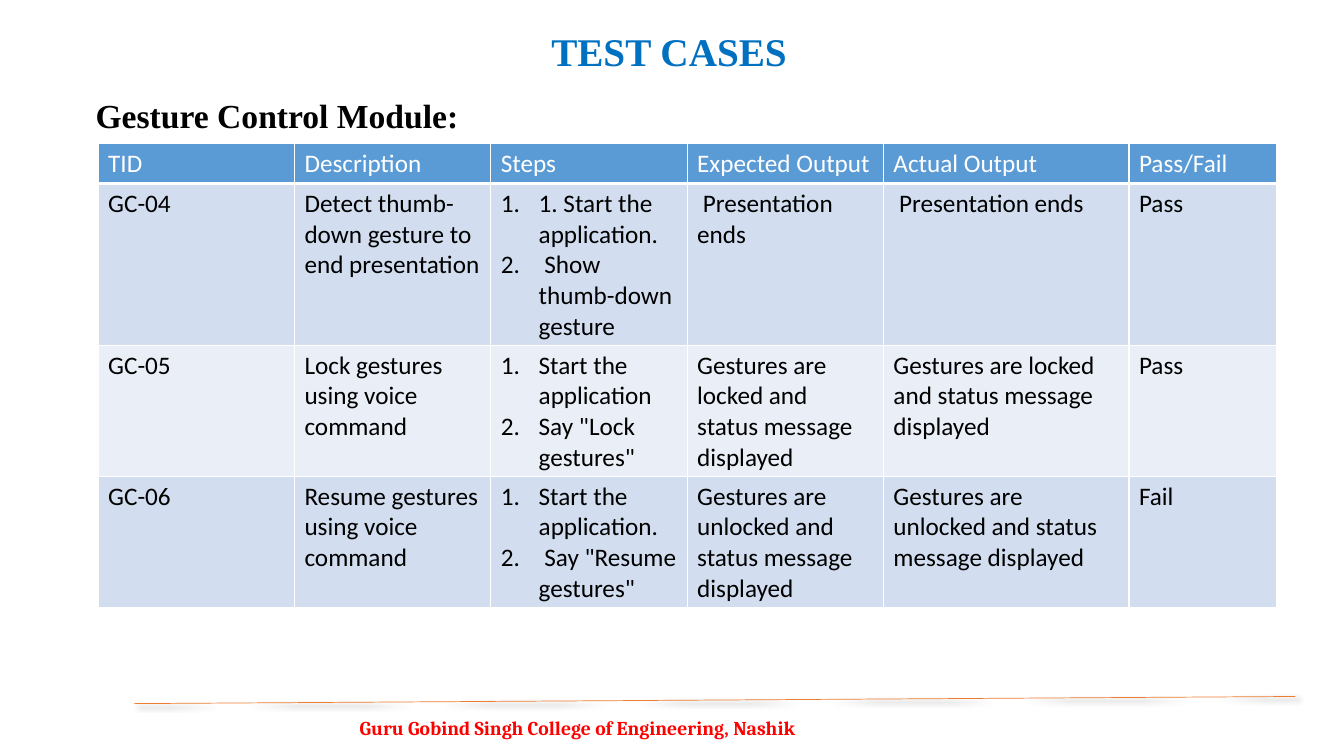
from lxml import etree
from pptx import Presentation
from pptx.dml.color import RGBColor
from pptx.enum.shapes import MSO_CONNECTOR
from pptx.enum.text import MSO_ANCHOR, MSO_AUTO_SIZE, PP_ALIGN
from pptx.oxml import parse_xml
from pptx.oxml.ns import nsdecls, qn
from pptx.util import Pt

BLACK = RGBColor(0x00, 0x00, 0x00)
WHITE = RGBColor(0xFF, 0xFF, 0xFF)
RED = RGBColor(0xFF, 0x00, 0x00)
TITLE_BLUE = RGBColor(0x00, 0x70, 0xC0)
HEADER_BLUE = RGBColor(0x5B, 0x9B, 0xD5)
BAND_DARK = RGBColor(0xD2, 0xDE, 0xEF)
BAND_LIGHT = RGBColor(0xEA, 0xEF, 0xF7)
ORANGE = RGBColor(0xED, 0x7D, 0x31)


def write(tf, text, size=18, font="Calibri", color=BLACK, bold=False, numbered=False):
    """Fill a text frame, one paragraph per line of text."""
    tf.word_wrap = True
    for i, line in enumerate(text.split("\n")):
        p = tf.paragraphs[0] if i == 0 else tf.add_paragraph()
        p.alignment = PP_ALIGN.LEFT
        if numbered:
            pPr = p._p.get_or_add_pPr()
            pPr.set("marL", str(Pt(27)))
            pPr.set("indent", str(-Pt(27)))
            etree.SubElement(pPr, qn("a:buAutoNum"), type="arabicPeriod")
        r = p.add_run()
        r.text = line
        r.font.size = Pt(size)
        r.font.name = font
        r.font.bold = bold
        r.font.color.rgb = color


def add_border(cell, side, width):
    """Add a white border; call in the order L, R, T, B and before the fill."""
    cell._tc.get_or_add_tcPr().append(parse_xml(
        f'<a:ln{side} {nsdecls("a")} w="{Pt(width)}"><a:solidFill>'
        f'<a:srgbClr val="{WHITE}"/></a:solidFill></a:ln{side}>'))


prs = Presentation()
prs.slide_width, prs.slide_height = Pt(960), Pt(540)
s = prs.slides.add_slide(prs.slide_layouts[5])

# Title
title = s.shapes.title
title.left, title.top, title.width, title.height = Pt(386.6), Pt(15.8), Pt(360.7), Pt(41)
title.text_frame.auto_size = MSO_AUTO_SIZE.NONE
title.text_frame.vertical_anchor = MSO_ANCHOR.TOP
write(title.text_frame, "TEST CASES", size=28, font="Times New Roman",
      color=TITLE_BLUE, bold=True)

# Module heading
heading = s.shapes.add_textbox(Pt(61.2), Pt(64.1), Pt(726.5), Pt(37))
write(heading.text_frame, "Gesture Control Module:", size=24,
      font="Times New Roman", bold=True)

# Test case table
rows = [
    ["TID", "Description", "Steps", "Expected Output", "Actual Output", "Pass/Fail"],
    ["GC-04", "Detect thumb-down gesture to end presentation",
     "1. Start the application.\n Show thumb-down gesture",
     " Presentation ends", " Presentation ends", "Pass"],
    ["GC-05", "Lock gestures using voice command",
     "Start the application\nSay \"Lock gestures\"",
     "Gestures are locked and status message displayed",
     "Gestures are locked and status message displayed", "Pass"],
    ["GC-06", "Resume gestures using voice command",
     "Start the application.\n Say \"Resume gestures\"",
     "Gestures are unlocked and status message displayed",
     "Gestures are unlocked and status message displayed", "Fail"],
]
col_widths = [140.25, 140.25, 140.25, 140.25, 175.4, 105.3]
row_heights = [28.8, 115.5, 93.6, 93.6]
STEPS = 2

table = s.shapes.add_table(len(rows), len(col_widths), Pt(70.1), Pt(102.2),
                           Pt(sum(col_widths)), Pt(sum(row_heights))).table
for column, width in zip(table.columns, col_widths):
    column.width = Pt(width)
for i, (row, height) in enumerate(zip(rows, row_heights)):
    table.rows[i].height = Pt(height)
    header = i == 0
    fill = HEADER_BLUE if header else BAND_DARK if i % 2 else BAND_LIGHT
    for j, text in enumerate(row):
        cell = table.cell(i, j)
        write(cell.text_frame, text, color=WHITE if header else BLACK,
              numbered=j == STEPS and not header)
        for side in "LRTB":
            add_border(cell, side, 3 if header and side == "B" else 1)
        cell.fill.solid()
        cell.fill.fore_color.rgb = fill

# Footer rule with a soft shadow
rule = s.shapes.add_connector(MSO_CONNECTOR.STRAIGHT, Pt(95.8), Pt(502.6),
                              Pt(925.2), Pt(497.5))
rule.line.color.rgb = ORANGE
rule.line.width = Pt(0.5)
rule._element.spPr.append(parse_xml(
    f'<a:effectLst {nsdecls("a")}><a:outerShdw blurRad="{Pt(4)}" dist="{Pt(3)}" '
    f'dir="2700000" algn="tl" rotWithShape="0"><a:srgbClr val="{BLACK}">'
    f'<a:alpha val="40000"/></a:srgbClr></a:outerShdw></a:effectLst>'))

# Footer
footer = s.shapes.add_textbox(Pt(249.8), Pt(509.8), Pt(419.8), Pt(30.2))
write(footer.text_frame, "Guru Gobind Singh College of Engineering, Nashik",
      size=14, font="Cambria", color=RED, bold=True)
footer.text_frame.paragraphs[0].line_spacing = 0.9

prs.save("out.pptx")
